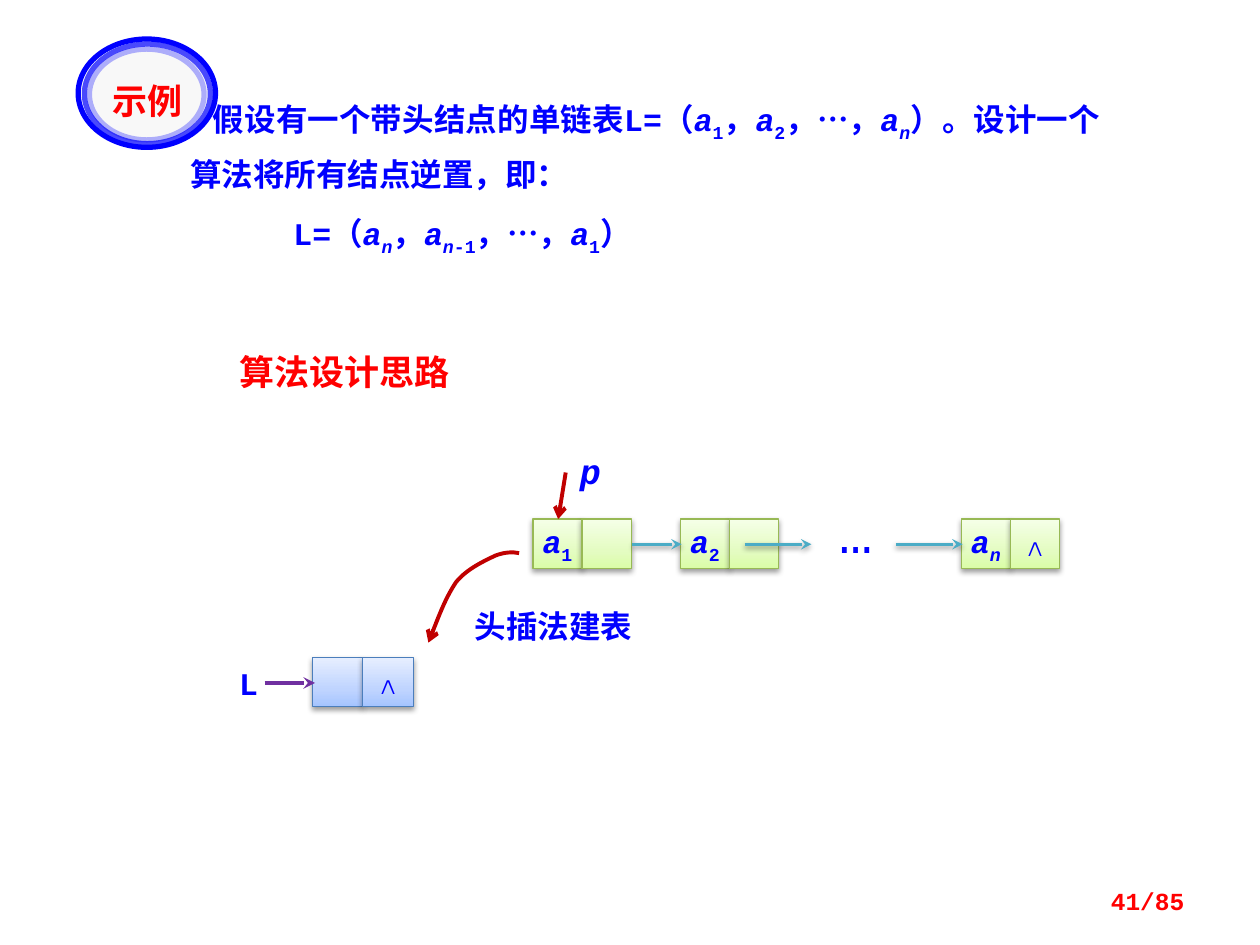
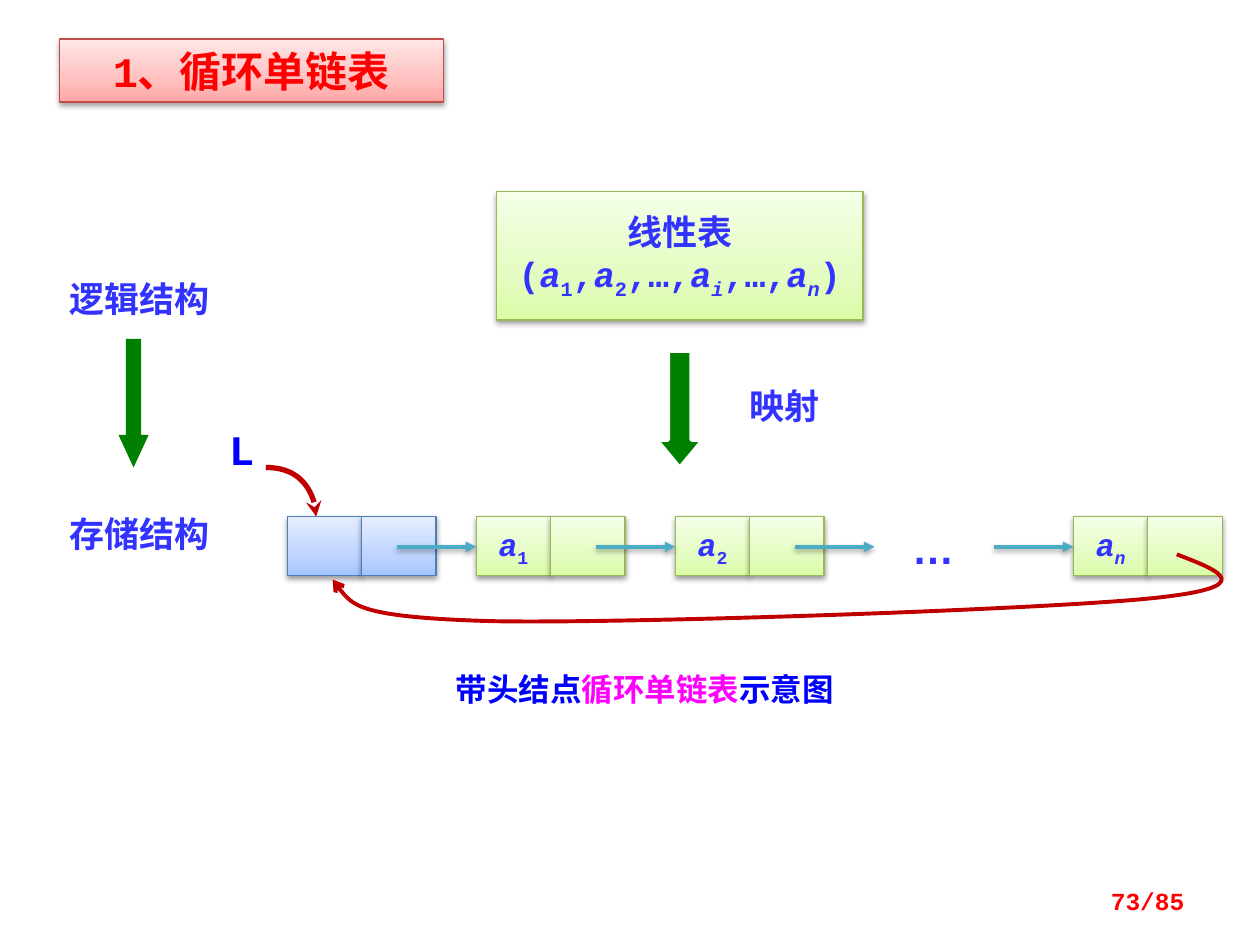
from lxml import etree
from pptx import Presentation
from pptx.dml.color import RGBColor
from pptx.enum.shapes import MSO_CONNECTOR, MSO_SHAPE
from pptx.enum.text import MSO_ANCHOR, MSO_AUTO_SIZE, PP_ALIGN
from pptx.oxml.ns import qn
from pptx.util import Pt

PX = 9144
TITLE_ONLY = 5
LEFT, CENTER, RIGHT, JUSTIFY = PP_ALIGN.LEFT, PP_ALIGN.CENTER, PP_ALIGN.RIGHT, PP_ALIGN.JUSTIFY
TOP, MIDDLE = MSO_ANCHOR.TOP, MSO_ANCHOR.MIDDLE
RECTANGLE, OVAL, DOWN_ARROW = MSO_SHAPE.RECTANGLE, MSO_SHAPE.OVAL, MSO_SHAPE.DOWN_ARROW
STRAIGHT = MSO_CONNECTOR.STRAIGHT
NO_AUTOFIT = MSO_AUTO_SIZE.NONE

CODE_FONT = "Courier New"
CJK_FONT = "Noto Sans CJK SC"
BADGE_FONT = "Noto Sans CJK JP"
COLORS = {
    "blue": "0000FF", "indigo": "3333FF", "red": "FF0000", "magenta": "FF00FF",
    "crimson": "C00000", "purple": "7030A0", "teal": "4BACC6", "green": "008000",
    "white": "FFFFFF", "badge": "F8F8F8", "black": "000000",
    "head_line": "4B7EBC", "item_line": "98B955", "title_line": "BF4C48",
}
GRADIENTS = {
    "head": ("A4C4FF", "BFD4FF", "E6EEFF"),
    "item": ("DAFDA7", "E4FCC2", "F5FFE7"),
    "title": ("FFA6A5", "FFC0BF", "FFE7E7"),
}
STOPS = (0, 35000, 100000)


def rgb(color):
    return RGBColor.from_string(COLORS[color])


def add_xml(parent, tag, **attributes):
    return etree.SubElement(parent, qn(tag), attributes)


def place(shape, box):
    shape.left, shape.top, shape.width, shape.height = (value * PX for value in box)


def set_shadow(shape, visible):
    effects = add_xml(shape._element.spPr, "a:effectLst")
    if visible:
        outer = add_xml(effects, "a:outerShdw", blurRad="40000", dist="20000",
                        dir="5400000", rotWithShape="0")
        black = add_xml(outer, "a:srgbClr", val=COLORS["black"])
        add_xml(black, "a:alpha", val="38000")


def set_line(shape, color, width, arrowhead=None, opacity=100):
    shape.line.color.rgb = rgb(color)
    shape.line.width = Pt(width)
    line = shape.line._get_or_add_ln()
    if opacity < 100:
        add_xml(line.find(".//" + qn("a:srgbClr")), "a:alpha", val=str(opacity * 1000))
    if arrowhead:
        add_xml(line, "a:tailEnd", type=arrowhead)


def set_gradient(shape, scheme):
    shape.fill.gradient()
    shape.fill.gradient_angle = 90
    stops = shape._element.spPr.find(".//" + qn("a:gsLst"))
    for stop in list(stops):
        stops.remove(stop)
    for position, color in zip(STOPS, GRADIENTS[scheme]):
        add_xml(add_xml(stops, "a:gs", pos=str(position)), "a:srgbClr", val=color)
    set_line(shape, scheme + "_line", 0.75)
    set_shadow(shape, True)


def add_runs(paragraph, markup):
    """Parts split by |: a leading _ lowers the part, then / makes it italic."""
    for part in markup.split("|"):
        lowered = part.startswith("_")
        part = part[1:] if lowered else part
        run = paragraph.add_run()
        if part.startswith("/"):
            run.font.italic = True
        run.text = part.removeprefix("/")
        if lowered:
            run._r.get_or_add_rPr().set("baseline", "-25000")


def write_text(shape, lines, size, color, font=CODE_FONT, align=LEFT,
               anchor=TOP, wrap=True, bold=True):
    frame = shape.text_frame
    frame.word_wrap = wrap
    frame.auto_size = NO_AUTOFIT
    frame.vertical_anchor = anchor
    for index, markup in enumerate(lines):
        paragraph = frame.add_paragraph() if index else frame.paragraphs[0]
        paragraph.alignment = align
        paragraph.font.size = Pt(size)
        paragraph.font.bold = bold
        paragraph.font.color.rgb = rgb(color)
        paragraph.font.name = font
        east_asian = CJK_FONT if font == CODE_FONT else font
        add_xml(paragraph.font._element, "a:ea", typeface=east_asian)
        add_runs(paragraph, markup)
    return frame


def add_label(slide, box, markup, size, color, **options):
    shape = slide.shapes.add_textbox(*(value * PX for value in box))
    return write_text(shape, [markup], size, color, **options)


def add_preset(slide, kind, box, fill=None):
    shape = slide.shapes.add_shape(kind, *(value * PX for value in box))
    if fill:
        shape.fill.solid()
        shape.fill.fore_color.rgb = rgb(fill)
    else:
        shape.fill.background()
    shape.line.fill.background()
    return shape


def add_panel(slide, box, scheme, lines=(), size=18, color="blue"):
    shape = add_preset(slide, RECTANGLE, box)
    set_gradient(shape, scheme)
    write_text(shape, lines, size, color, align=CENTER, anchor=MIDDLE, wrap=False)


def add_node(slide, box, scheme, data="", link="", color="blue"):
    left, top, width, height = box
    for index, markup in enumerate((data, link)):
        cell = (left + index * width, top, width, height)
        add_panel(slide, cell, scheme, [markup] if markup else [], color=color)


def add_arrow(slide, start, end, color, width, arrowhead, shadow=False):
    ends = [value * PX for value in (*start, *end)]
    connector = slide.shapes.add_connector(STRAIGHT, *ends)
    set_line(connector, color, width, arrowhead)
    set_shadow(connector, shadow)


def add_curve(slide, start, controls, width, arrowhead):
    builder = slide.shapes.build_freeform(*start, scale=PX)
    builder.add_line_segments(controls, close=False)
    shape = builder.convert_to_shape()
    outline = shape._element.spPr.find(".//" + qn("a:path"))
    segments = outline.findall(qn("a:lnTo"))
    for first in range(0, len(segments), 3):
        curve = add_xml(outline, "a:cubicBezTo")
        for segment in segments[first:first + 3]:
            curve.append(segment[0])
            outline.remove(segment)
    shape.fill.background()
    set_line(shape, "crimson", width, arrowhead)
    set_shadow(shape, False)


def add_block_arrow(slide, box, head, line=None):
    shape = add_preset(slide, DOWN_ARROW, box, "green")
    shape.adjustments[0], shape.adjustments[1] = 0.5, head
    if line:
        set_line(shape, line, 3)
    set_shadow(shape, False)


def add_badge(slide):
    rings = (((62, 31, 109, 86), "badge", 100),
             ((67, 35, 100, 79), None, 70),
             ((71, 39, 91, 72), None, 30))
    for box, fill, opacity in rings:
        ring = add_preset(slide, OVAL, box, fill)
        set_line(ring, "blue", 3, opacity=opacity)
        set_shadow(ring, False)
    add_label(slide, (69, 58, 96, 39), "示例", 20, "red", font=BADGE_FONT, align=CENTER)


def start_slide(presentation, title, box, size, page, **options):
    slide = presentation.slides.add_slide(presentation.slide_layouts[TITLE_ONLY])
    place(slide.shapes.title, box)
    write_text(slide.shapes.title, [title], size, "red", **options)
    add_label(slide, (717, 695, 233, 40), f"{page}/85", 14, "red",
              align=RIGHT, anchor=MIDDLE)
    return slide


def add_problem(slide):
    shape = slide.shapes.add_textbox(*(value * PX for value in (141, 70, 742, 143)))
    frame = write_text(shape, [
        "假设有一个带头结点的单链表L=（|/a|_1|，|/a|_2|，…，|/a|_/n|）。设计一个算法将所有结点逆置，即：",
        "L=（|/a|_/n|，|/a|_/n|_-1|，…，|/a|_1|）",
    ], 18, "blue", align=JUSTIFY)
    for paragraph, indent in zip(frame.paragraphs, (18, 82)):
        paragraph.line_spacing = Pt(28)
        paragraph._p.get_or_add_pPr().set("indent", str(indent * PX))
    frame.paragraphs[1].space_before = Pt(9)


def build_reversal(presentation):
    slide = start_slide(presentation, "算法设计思路", (180, 273, 227, 44), 20, 41,
                        font=CJK_FONT)
    add_problem(slide)
    add_node(slide, (248, 522, 40, 39), "head", link="∧")
    add_arrow(slide, (210, 542), (250, 542), "purple", 2.25, "stealth")
    add_label(slide, (180, 522, 29, 40), "L", 18, "blue")
    for left, data, link in ((423, "/a|_1", ""), (540, "/a|_2", ""), (763, "/a|_/n", "∧")):
        add_node(slide, (left, 412, 39, 39), "item", data, link)
    for start, end in ((502, 541), (591, 644), (711, 764)):
        add_arrow(slide, (start, 432), (end, 432), "teal", 2, "stealth", shadow=True)
    add_label(slide, (656, 390, 79, 63), "…", 32, "blue", bold=False)
    add_arrow(slide, (449, 375), (443, 412), "crimson", 2.25, "arrow")
    add_label(slide, (441, 352, 55, 44), "/p", 20, "blue", align=CENTER)
    add_curve(slide, (412, 439), [
        (407, 438), (401, 438), (393, 441), (385, 445), (371, 451), (362, 462),
        (354, 474), (347, 492), (340, 510)], 2.25, "arrow")
    add_label(slide, (367, 477, 205, 40), "头插法建表", 18, "blue", font=CJK_FONT)
    add_badge(slide)


def build_circular_list(presentation):
    slide = start_slide(presentation, "1、循环单链表", (47, 31, 305, 50), 24, 73,
                        align=CENTER, anchor=MIDDLE)
    set_gradient(slide.shapes.title, "title")
    add_panel(slide, (394, 152, 291, 102), "item", [
        "线性表", "(|/a|_1|,|/a|_2|,…,|/a|_/i|,…,|/a|_/n|)"], 20, "indigo")
    add_block_arrow(slide, (520, 278, 39, 94), 0.6, "white")
    add_block_arrow(slide, (94, 269, 24, 102), 1.08)
    for box, markup in (((570, 300, 105, 43), "映射"),
                        ((16, 215, 189, 44), "逻辑结构"),
                        ((16, 402, 189, 44), "存储结构")):
        add_label(slide, box, markup, 20, "indigo", font=CJK_FONT, align=CENTER)

    step = 158
    add_node(slide, (228, 410, 59, 47), "head")
    for position, data in ((0, "/a|_1"), (1, "/a|_2"), (3, "/a|_/n")):
        add_node(slide, (378 + position * step, 410, 59, 47), "item", data, color="indigo")
    for position in range(4):
        left = 315 + position * step
        add_arrow(slide, (left, 434), (left + 63, 434), "teal", 2, "triangle", shadow=True)
    add_label(slide, (709, 410, 63, 50), "…", 24, "indigo", font="Arial", align=CENTER)

    add_curve(slide, (211, 371), [(233, 371), (251, 388), (251, 410)], 3, "stealth")
    add_label(slide, (172, 331, 47, 50), "L", 24, "blue")
    caption = add_label(slide, (352, 527, 391, 40), "带头结点|循环单链表|示意图", 18, "blue",
                        font=CJK_FONT)
    caption.paragraphs[0].runs[1].font.color.rgb = rgb("magenta")
    add_curve(slide, (934, 440), [
        (968, 453), (1002, 466), (912, 475), (821, 484), (499, 495), (391, 493),
        (283, 490), (274, 475), (264, 460)], 2.25, "arrow")


def main():
    presentation = Presentation()
    presentation.slide_width = 1000 * PX
    presentation.slide_height = 750 * PX
    build_reversal(presentation)
    build_circular_list(presentation)
    presentation.save("out.pptx")


if __name__ == "__main__":
    main()
